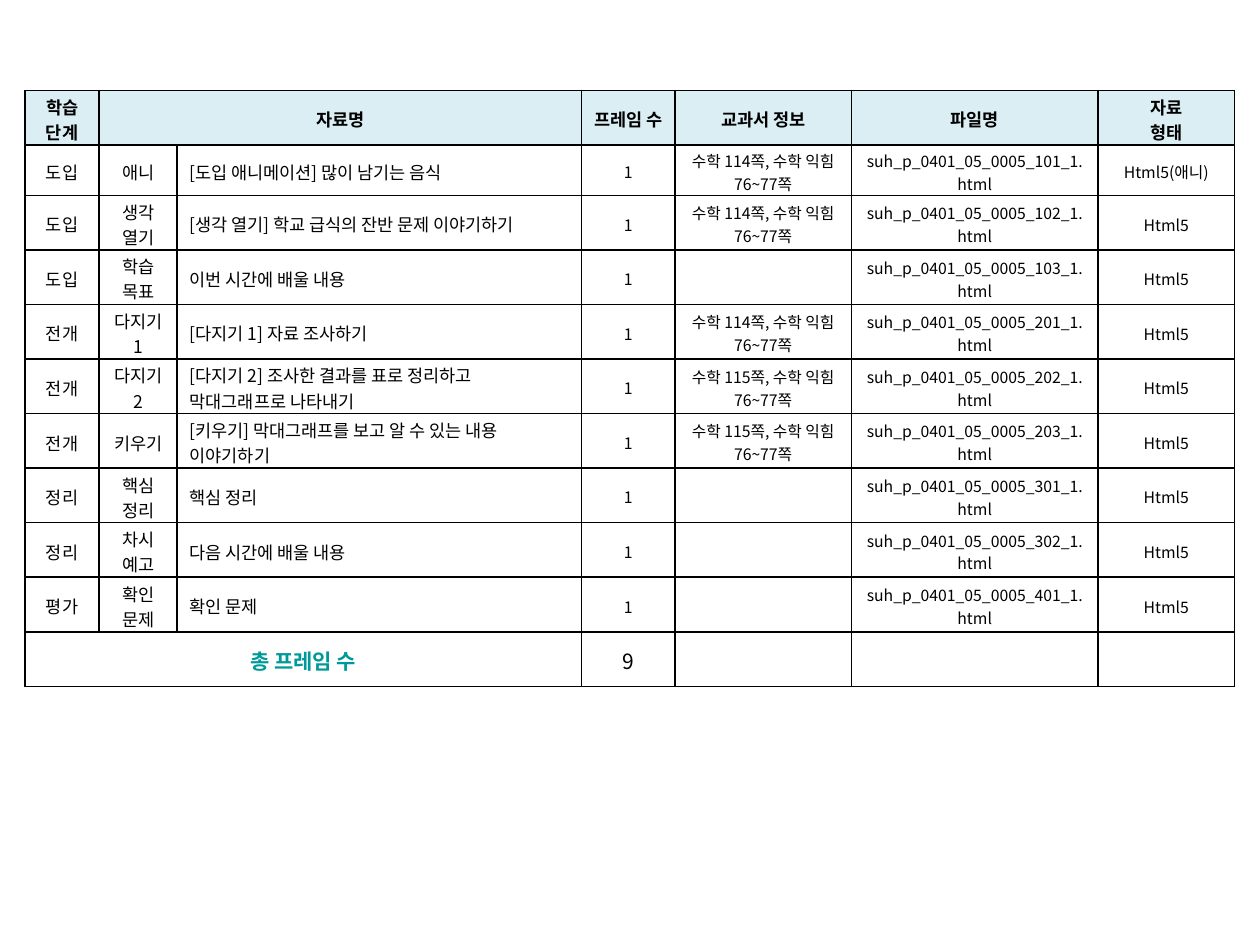
from lxml.etree import SubElement
from pptx import Presentation
from pptx.dml.color import RGBColor
from pptx.enum.text import MSO_ANCHOR, PP_ALIGN
from pptx.oxml.ns import qn
from pptx.util import Pt

FONT = "Noto Sans CJK KR"
COLORS = {"text": "000000", "border": "000000", "header": "DBEEF4", "total": "009999"}
COLUMN_WIDTHS = [42.5, 44.6, 231.1, 53.3, 100.8, 141.1, 77.8]
ROW_HEIGHTS = [31.2, 28.8] + [31.2] * 9
TITLE_COLUMN = 2
BODY_SIZES = [10, 10, 10, 9, 9, 9, 9]
HEADER = ["학습 단계", "자료명", "", "프레임 수", "교과서 정보", "파일명", "자료\n형태"]
LESSONS = [
    ("도입", "애니", "[도입 애니메이션] 많이 남기는 음식", 114, "101"),
    ("도입", "생각 열기", "[생각 열기] 학교 급식의 잔반 문제 이야기하기", 114, "102"),
    ("도입", "학습 목표", "이번 시간에 배울 내용", None, "103"),
    ("전개", "다지기 1", "[다지기 1] 자료 조사하기", 114, "201"),
    ("전개", "다지기 2", "[다지기 2] 조사한 결과를 표로 정리하고 막대그래프로 나타내기", 115, "202"),
    ("전개", "키우기", "[키우기] 막대그래프를 보고 알 수 있는 내용 이야기하기", 115, "203"),
    ("정리", "핵심 정리", "핵심 정리", None, "301"),
    ("정리", "차시 예고", "다음 시간에 배울 내용", None, "302"),
    ("평가", "확인 문제", "확인 문제", None, "401"),
]


def lesson_texts(stage, activity, title, page, code):
    textbook = f"수학 {page}쪽, 수학 익힘 76~77쪽" if page else ""
    file_name = f"suh_p_0401_05_0005_{code}_1.html"
    file_type = "Html5(애니)" if activity == "애니" else "Html5"
    return [stage, activity, title, "1", textbook, file_name, file_type]


def add_borders(cell):
    properties = cell._tc.get_or_add_tcPr()
    for side in ("a:lnL", "a:lnR", "a:lnT", "a:lnB"):
        line = SubElement(properties, qn(side), w=str(Pt(1)))
        fill = SubElement(line, qn("a:solidFill"))
        SubElement(fill, qn("a:srgbClr"), val=COLORS["border"])


def style_paragraph(paragraph, size, color, bold, alignment):
    paragraph.alignment = alignment
    font = paragraph.font
    font.name = FONT
    font.size = Pt(size)
    font.bold = bold
    font.color.rgb = RGBColor.from_string(COLORS[color])
    defaults = paragraph._p.pPr.find(qn("a:defRPr"))
    SubElement(defaults, qn("a:ea"), typeface=FONT)


def fill_cell(cell, text, size, color="text", bold=False, alignment=PP_ALIGN.CENTER, fill=None):
    add_borders(cell)
    if fill:
        cell.fill.solid()
        cell.fill.fore_color.rgb = RGBColor.from_string(COLORS[fill])
    else:
        cell.fill.background()
    cell.vertical_anchor = MSO_ANCHOR.MIDDLE
    cell.margin_left = cell.margin_right = Pt(7.2)
    cell.margin_top, cell.margin_bottom = Pt(2), Pt(0)
    cell.text_frame.text = text
    for paragraph in cell.text_frame.paragraphs:
        style_paragraph(paragraph, size, color, bold, alignment)


def add_plan_table(slide):
    table = slide.shapes.add_table(
        len(ROW_HEIGHTS), len(COLUMN_WIDTHS), Pt(14.2), Pt(51.6),
        Pt(sum(COLUMN_WIDTHS)), Pt(sum(ROW_HEIGHTS)),
    ).table
    table.first_row = table.horz_banding = False
    for column, width in zip(table.columns, COLUMN_WIDTHS):
        column.width = Pt(width)
    for row, height in zip(table.rows, ROW_HEIGHTS):
        row.height = Pt(height)
    return table


def fill_header(table):
    for column, text in enumerate(HEADER):
        fill_cell(table.cell(0, column), text, 10, bold=True, fill="header")
    table.cell(0, 1).merge(table.cell(0, 2))


def fill_lessons(table):
    for row, lesson in enumerate(LESSONS, start=1):
        for column, text in enumerate(lesson_texts(*lesson)):
            alignment = PP_ALIGN.LEFT if column == TITLE_COLUMN else PP_ALIGN.CENTER
            fill_cell(table.cell(row, column), text, BODY_SIZES[column], alignment=alignment)


def fill_total(table):
    row = len(ROW_HEIGHTS) - 1
    fill_cell(table.cell(row, 0), "총 프레임 수", 12, color="total", bold=True)
    for column in range(1, len(COLUMN_WIDTHS)):
        fill_cell(table.cell(row, column), str(len(LESSONS)) if column == 3 else "", 12)
    table.cell(row, 0).merge(table.cell(row, 2))


def main():
    presentation = Presentation()
    presentation.slide_width, presentation.slide_height = Pt(720), Pt(540)
    slide = presentation.slides.add_slide(presentation.slide_layouts[6])
    table = add_plan_table(slide)
    fill_header(table)
    fill_lessons(table)
    fill_total(table)
    presentation.save("out.pptx")


if __name__ == "__main__":
    main()
